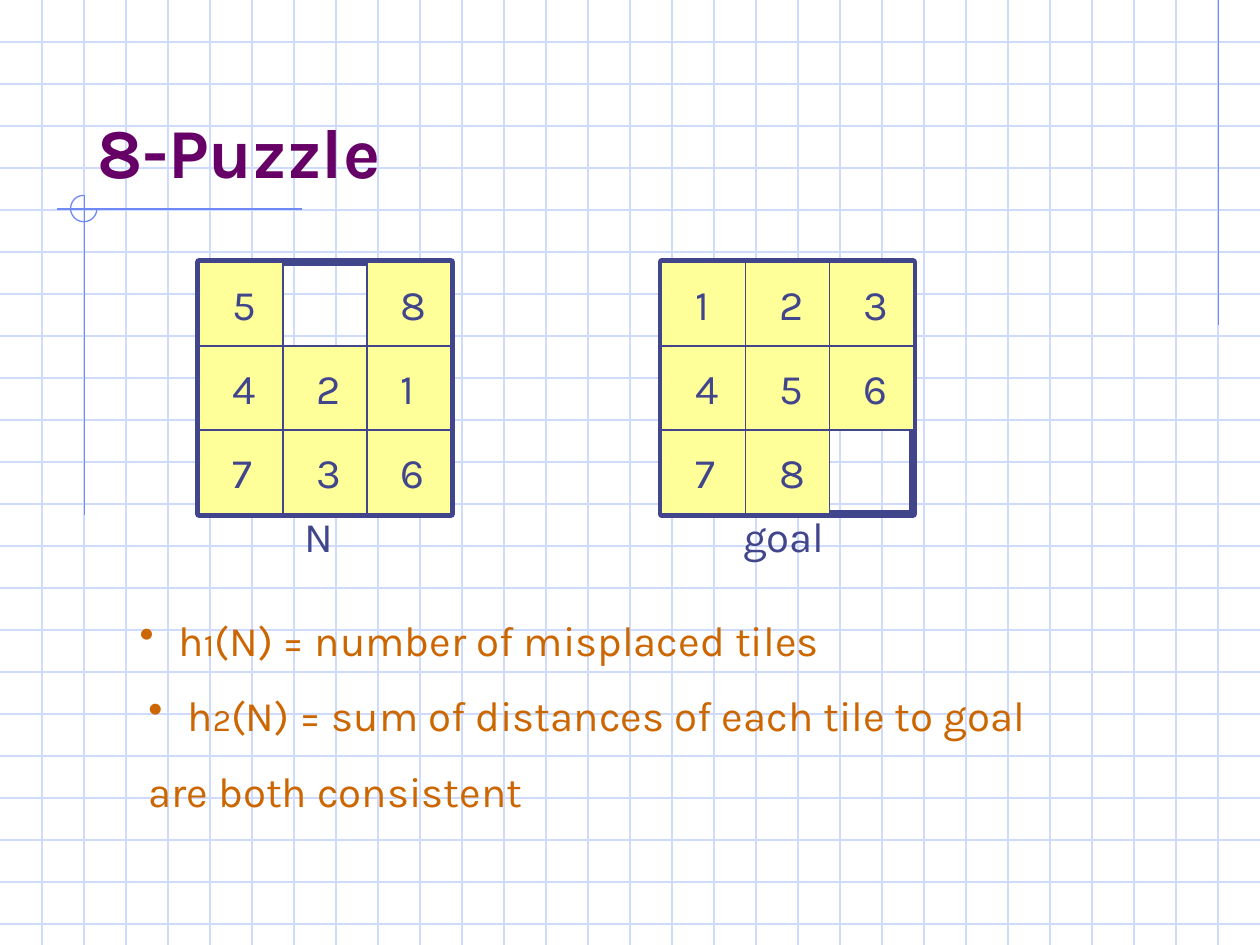
from lxml.etree import SubElement
from pptx import Presentation
from pptx.dml.color import RGBColor
from pptx.enum.shapes import MSO_CONNECTOR, MSO_SHAPE
from pptx.enum.text import MSO_ANCHOR, MSO_AUTO_SIZE, PP_ALIGN
from pptx.oxml.ns import qn
from pptx.util import Inches, Pt

COLORS = {
    "grid": "CFDBFD",
    "accent": "6F89F7",
    "title": "660066",
    "ink": "40458C",
    "tile": "FFFF99",
    "note": "CC6600",
}
WIDTH, HEIGHT = 10, 7.5
STEP = 1 / 3
TILE = 2 / 3
TOP = 2.08


def color(name):
    return RGBColor.from_string(COLORS[name])


def write(par, text, size=24, tone="ink", bold=False, font="Karla"):
    run = par.add_run()
    run.text = text
    run.font.size = Pt(size)
    run.font.name = font
    run.font.bold = bold
    run.font.color.rgb = color(tone)


def bullet(par, tone="note", indent=0.31):
    props = par._p.get_or_add_pPr()
    props.set("marL", str(Inches(indent)))
    props.set("indent", str(-Inches(indent)))
    paint = SubElement(props, qn("a:buClr"))
    SubElement(paint, qn("a:srgbClr"), val=COLORS[tone])
    SubElement(props, qn("a:buChar"), char="•")


class Painter:
    def __init__(self, slide, thin=0.75, thick=4.5):
        self.slide = slide
        self.thin = thin
        self.thick = thick

    def group(self):
        return self.slide.shapes.add_group_shape().shapes

    def line(self, shapes, x1, y1, x2, y2, tone):
        ends = [Inches(v) for v in (x1, y1, x2, y2)]
        line = shapes.add_connector(MSO_CONNECTOR.STRAIGHT, *ends)
        line.line.color.rgb = color(tone)
        line.line.width = Pt(self.thin)
        SubElement(line._element.spPr, qn("a:effectLst"))

    def shape(self, shapes, kind, x, y, side, tone, fill=None, width=None):
        shape = shapes.add_shape(kind, Inches(x), Inches(y), Inches(side), Inches(side))
        shape.shadow.inherit = False
        shape.line.color.rgb = color(tone)
        shape.line.width = Pt(width or self.thin)
        if fill:
            shape.fill.solid()
            shape.fill.fore_color.rgb = color(fill)
        else:
            shape.fill.background()
        return shape

    def box(self, shapes, x, y, w, h, wrap=False):
        frame = shapes.add_textbox(Inches(x), Inches(y), Inches(w), Inches(h)).text_frame
        frame.word_wrap = wrap
        frame.auto_size = MSO_AUTO_SIZE.SHAPE_TO_FIT_TEXT
        return frame

    def label(self, shapes, text, x, y, w):
        write(self.box(shapes, x, y, w, 0.5).paragraphs[0], text)

    def title(self, text):
        title = self.slide.shapes.title
        title.left, title.top = Inches(0.67), Inches(0.33)
        title.width, title.height = Inches(8.5), Inches(1.25)
        frame = title.text_frame
        frame.vertical_anchor = MSO_ANCHOR.BOTTOM
        frame.auto_size = MSO_AUTO_SIZE.NONE
        par = frame.paragraphs[0]
        par.alignment = PP_ALIGN.LEFT
        write(par, text, size=40, tone="title", bold=True)
        self.slide.shapes._spTree.append(title._element)

    def paper(self):
        shapes = self.group()
        for i in range(1, int(HEIGHT / STEP) + 1):
            self.line(shapes, 0, i * STEP, WIDTH, i * STEP, "grid")
        for i in range(1, int(WIDTH / STEP)):
            self.line(shapes, i * STEP, 0, i * STEP, HEIGHT, "grid")
        self.line(shapes, 9.67, 0, 9.67, 2.58, "accent")
        self.line(shapes, 2.4, 1.66, 0.45, 1.66, "accent")
        self.line(shapes, 0.67, 1.55, 0.67, 4.09, "accent")
        arc = self.shape(shapes, MSO_SHAPE.ARC, 0.56, 1.55, 0.21, "accent")
        arc.adjustments[0] = 0
        arc.adjustments[1] = 162

    def board(self, left, rows):
        shapes = self.group()
        self.shape(shapes, MSO_SHAPE.RECTANGLE, left, TOP, 3 * TILE, "ink", width=self.thick)
        for r, row in enumerate(rows):
            for c, digit in enumerate(row):
                if digit != " ":
                    x, y = left + c * TILE, TOP + r * TILE
                    self.shape(shapes, MSO_SHAPE.RECTANGLE, x, y, TILE, "ink", fill="tile")
                    self.label(shapes, digit, x + 0.17, y + 0.08, 0.39)

    def formula(self, par, index, rest):
        bullet(par)
        write(par, "h", tone="note")
        write(par, index, size=18, tone="note")
        write(par, rest, tone="note")

    def notes(self):
        shapes = self.group()
        first = self.box(shapes, 1.01, 4.83, 5.63, 0.5)
        self.formula(first.paragraphs[0], "1", "(N) = number of misplaced tiles")
        second = self.box(shapes, 1.08, 5.42, 7.17, 1.51, wrap=True)
        self.formula(second.paragraphs[0], "2", "(N) = sum of distances of each tile to goal")
        last = second.add_paragraph()
        last.space_before = Pt(15)
        write(last, "are both consistent", tone="note")


def main():
    deck = Presentation()
    deck.slide_width, deck.slide_height = Inches(WIDTH), Inches(HEIGHT)
    slide = deck.slides.add_slide(deck.slide_layouts[5])
    art = Painter(slide)
    art.paper()
    art.title("8-Puzzle")
    art.board(5.25, ["123", "456", "78 "])
    art.board(1.58, ["5 8", "421", "736"])
    art.label(slide.shapes, "N", 2.32, 4, 0.45)
    art.label(slide.shapes, "goal", 5.8, 4, 0.88)
    art.notes()
    deck.save("out.pptx")


if __name__ == "__main__":
    main()
